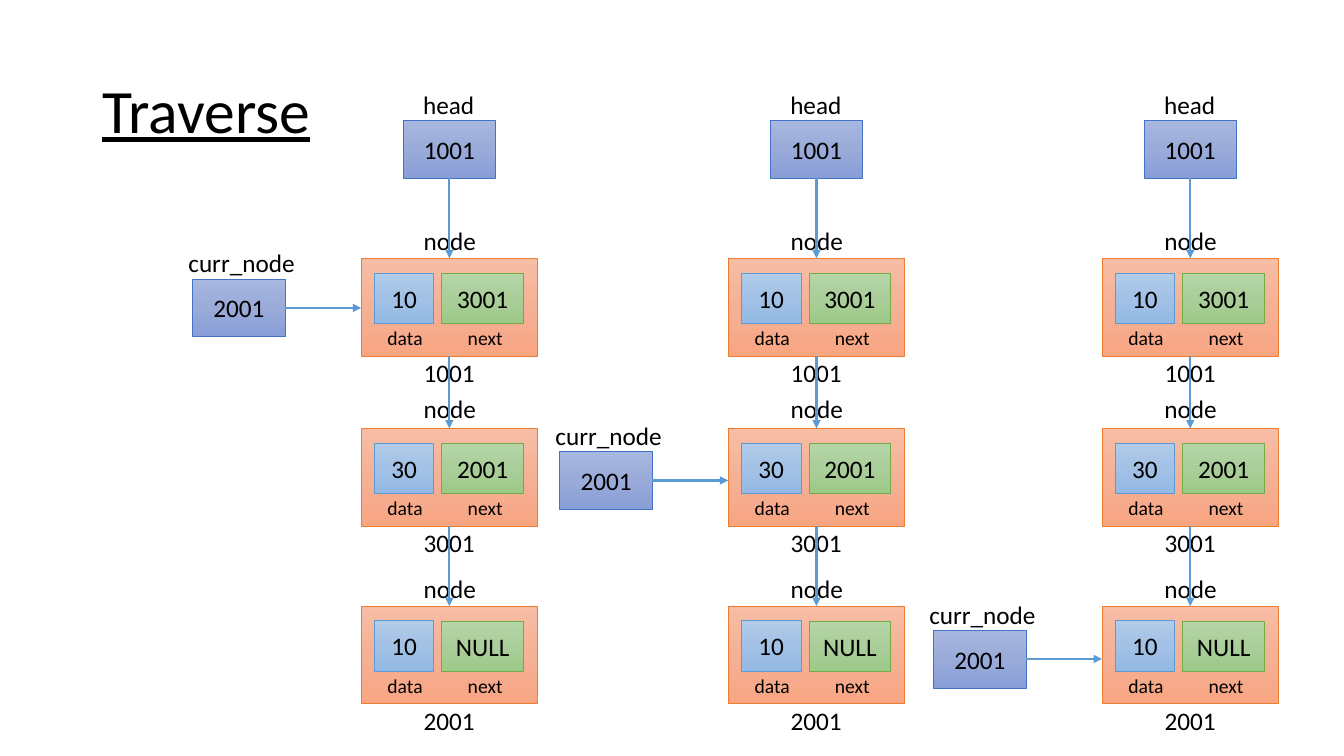
import copy
import dataclasses
import itertools

import lxml.etree
import pptx
import pptx.dml.color
import pptx.enum.shapes
import pptx.enum.text
import pptx.oxml.ns
import pptx.shapes.autoshape
import pptx.slide
import pptx.util

# The slide is a grid of square cells; all lengths below count cells.
COLUMNS, ROWS = 160, 90
CELL = pptx.util.Inches(7.5) / ROWS
FONT = "Calibri"
BLACK, ARROW_BLUE = "000000", "5B9BD5"


@dataclasses.dataclass(frozen=True)
class Style:
    stops: tuple[str, str, str]
    outline: str


@dataclasses.dataclass(frozen=True)
class Node:
    top: float
    data: str
    next: str
    address: str
    label_rise: float
    pointer_drop: float


@dataclasses.dataclass(frozen=True)
class Step:
    left: float
    current: int


NODE_STYLE = Style(("F7BDA5", "F5B196", "F8A582"), "ED7D31")
DATA_STYLE = Style(("B1CBE9", "A3C1E5", "93B9E4"), "5B9BD5")
NEXT_STYLE = Style(("B5D5A7", "AACE9A", "9CC987"), "70AD47")
POINTER_STYLE = Style(("A8B7DF", "9AABD9", "889ED7"), "4472C4")

NODE_WIDTH, NODE_HEIGHT = 21, 11.65
POINTER_WIDTH, POINTER_HEIGHT = 11, 6.9
HEAD_TOP = 14.3
POINTER_OFFSET = -20.05

NODES = (
    Node(30.75, "10", "3001", "1001", 4.55, 2.45),
    Node(51, "30", "2001", "3001", 4.8, 2.75),
    Node(72.15, "10", "NULL", "2001", 4.45, 2.85),
)
STEPS = (Step(43, 0), Step(86.7, 1), Step(131.2, 2))


def cells(count: float) -> pptx.util.Emu:
    return pptx.util.Emu(round(count * CELL))


def colour(hex_value: str) -> pptx.dml.color.RGBColor:
    return pptx.dml.color.RGBColor.from_string(hex_value)


def write(frame: pptx.text.text.TextFrame, text: str, *, size: float = 18,
          underline: bool = False, centred: bool = False, middle: bool = False,
          wrap: bool = True, spacing: float = 1.0) -> None:
    frame.word_wrap = wrap
    anchors = pptx.enum.text.MSO_ANCHOR
    frame.vertical_anchor = anchors.MIDDLE if middle else anchors.TOP
    paragraph = frame.paragraphs[0]
    alignments = pptx.enum.text.PP_ALIGN
    paragraph.alignment = alignments.CENTER if centred else alignments.LEFT
    paragraph.line_spacing = spacing
    run = paragraph.add_run()
    run.text = text
    run.font.name = FONT
    run.font.size = pptx.util.Pt(size)
    run.font.underline = underline
    run.font.color.rgb = colour(BLACK)


def add_label(slide: pptx.slide.Slide, text: str, left: float, top: float,
              width: float, height: float = 4.8, **text_format) -> None:
    box = slide.shapes.add_textbox(*map(cells, (left, top, width, height)))
    write(box.text_frame, text, **text_format)


def fill_gradient(shape: pptx.shapes.autoshape.Shape, stops: tuple[str, str, str]) -> None:
    """Fill from top to bottom with three evenly spaced colours."""
    shape.fill.gradient()
    shape.fill.gradient_angle = 270
    first = shape._element.spPr.find(".//" + pptx.oxml.ns.qn("a:gs"))
    first.addnext(copy.deepcopy(first))
    for index, (stop, hex_value) in enumerate(zip(shape.fill.gradient_stops, stops)):
        stop.position = index / 2
        stop.color.rgb = colour(hex_value)


def add_box(slide: pptx.slide.Slide, style: Style, left: float, top: float,
            width: float, height: float, text: str = "") -> None:
    box = slide.shapes.add_shape(pptx.enum.shapes.MSO_SHAPE.RECTANGLE,
                                 *map(cells, (left, top, width, height)))
    box.shadow.inherit = False
    fill_gradient(box, style.stops)
    box.line.color.rgb = colour(style.outline)
    box.line.width = pptx.util.Pt(0.5)
    if text:
        write(box.text_frame, text, centred=True, middle=True)


def add_arrow(slide: pptx.slide.Slide, x1: float, y1: float, x2: float, y2: float) -> None:
    arrow = slide.shapes.add_connector(pptx.enum.shapes.MSO_CONNECTOR.STRAIGHT,
                                       *map(cells, (x1, y1, x2, y2)))
    arrow.line.color.rgb = colour(ARROW_BLUE)
    arrow.line.width = pptx.util.Pt(1.5)
    qn = pptx.oxml.ns.qn
    lxml.etree.SubElement(arrow.line._get_or_add_ln(), qn("a:tailEnd"), type="triangle")
    lxml.etree.SubElement(arrow._element.spPr, qn("a:effectLst"))


def add_node(slide: pptx.slide.Slide, node: Node, left: float) -> None:
    top = node.top
    add_box(slide, NODE_STYLE, left, top, NODE_WIDTH, NODE_HEIGHT)
    add_box(slide, DATA_STYLE, left + 1.55, top + 1.75, 7.1, 6, node.data)
    add_box(slide, NEXT_STYLE, left + 9.6, top + 1.8, 9.75, 6, node.next)
    add_label(slide, "data", left + 1.95, top + 7.45, 6.7, 4.1, size=14, wrap=False)
    add_label(slide, "next", left + 11.5, top + 7.45, 6.6, 4.1, size=14, wrap=False)
    add_label(slide, "node", left + 6.25, top - node.label_rise, 8.75, wrap=False)
    add_label(slide, node.address, left + 6.25, top + 11.2, 8.5, wrap=False)


def add_step(slide: pptx.slide.Slide, step: Step) -> None:
    """Draw the whole list with curr_node pointing at one of its nodes."""
    left, centre = step.left, step.left + NODE_WIDTH / 2
    add_box(slide, POINTER_STYLE, centre - POINTER_WIDTH / 2, HEAD_TOP,
            POINTER_WIDTH, POINTER_HEIGHT, "1001")
    add_label(slide, "head", left + 6.2, HEAD_TOP - 4.2, 8.65, wrap=False)
    for node in NODES:
        add_node(slide, node, left)

    add_arrow(slide, centre, HEAD_TOP + POINTER_HEIGHT, centre, NODES[0].top)
    for upper, lower in itertools.pairwise(NODES):
        add_arrow(slide, centre, upper.top + NODE_HEIGHT, centre, lower.top)

    current = NODES[step.current]
    pointer_left = left + POINTER_OFFSET
    pointer_top = current.top + current.pointer_drop
    pointer_middle = pointer_top + POINTER_HEIGHT / 2
    add_box(slide, POINTER_STYLE, pointer_left, pointer_top,
            POINTER_WIDTH, POINTER_HEIGHT, "2001")
    add_arrow(slide, pointer_left + POINTER_WIDTH, pointer_middle, left, pointer_middle)
    add_label(slide, "curr_node", pointer_left - 1.7, pointer_top - 4.3, 15.25)


def main() -> None:
    presentation = pptx.Presentation()
    presentation.slide_width = cells(COLUMNS)
    presentation.slide_height = cells(ROWS)
    slide = presentation.slides.add_slide(presentation.slide_layouts[6])
    add_label(slide, "Traverse", 11, 4.8, 138, 17.4,
              size=44, underline=True, middle=True, spacing=0.9)
    for step in STEPS:
        add_step(slide, step)
    presentation.save("out.pptx")


if __name__ == "__main__":
    main()
